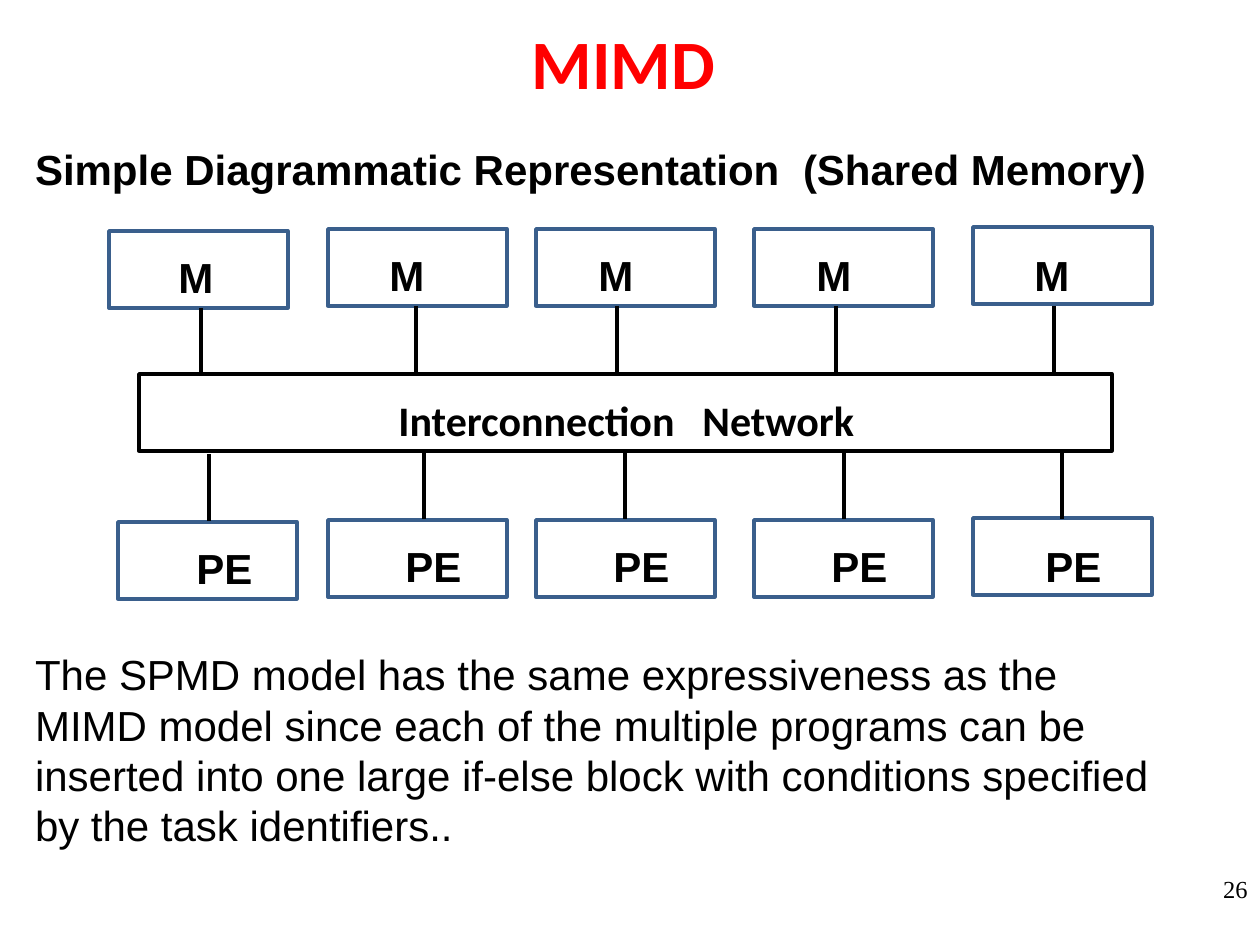
from dataclasses import dataclass

from lxml import etree
from pptx import Presentation
from pptx.dml.color import RGBColor
from pptx.enum.shapes import MSO_CONNECTOR, MSO_SHAPE
from pptx.enum.text import MSO_ANCHOR, PP_ALIGN
from pptx.oxml.ns import qn
from pptx.util import Emu, Pt

RECTANGLE = MSO_SHAPE.RECTANGLE
STRAIGHT = MSO_CONNECTOR.STRAIGHT
MIDDLE = MSO_ANCHOR.MIDDLE
LEFT, CENTER, RIGHT = PP_ALIGN.LEFT, PP_ALIGN.CENTER, PP_ALIGN.RIGHT
PX_PER_INCH = 126


@dataclass(frozen=True)
class Theme:
    black: RGBColor = RGBColor(0x00, 0x00, 0x00)
    red: RGBColor = RGBColor(0xFF, 0x00, 0x00)
    blue: RGBColor = RGBColor(0x3A, 0x5F, 0x8C)
    sans: str = "Arial"
    display: str = "Calibri"
    serif: str = "Times New Roman"
    title_size: float = 39.6
    text_size: float = 24
    number_size: float = 14
    text_leading: float = 28.8
    diagram_gap: float = 260
    outline: float = 2
    wire: float = 2.25


@dataclass(frozen=True)
class Area:
    left: int
    top: int
    width: int
    height: int


@dataclass(frozen=True)
class Column:
    """One memory module, its processing element and their wires, in px."""
    memory: int
    memory_label: int
    wire: int
    element: int
    element_label: int
    shift: int = 0


THEME = Theme()
BOX_WIDTH, BOX_HEIGHT = 179, 77
MEMORY_TOP, ELEMENT_TOP = 229, 520
WIRE_LENGTH, LOWER_WIRE_OFFSET = 67, 8
NETWORK = Area(139, 374, 973, BOX_HEIGHT)
COLUMNS = (
    Column(109, 166, 201, 118, 184, shift=2),
    Column(328, 377, 416, 328, 393),
    Column(536, 586, 617, 536, 601),
    Column(754, 804, 836, 754, 819),
    Column(973, 1022, 1054, 973, 1033, shift=-2),
)
BODY = (
    "The SPMD model has the same expressiveness as the MIMD model since each "
    "of the multiple programs can be inserted into one large if-else block "
    "with conditions specified by the task identifiers.."
)


def px(value: int) -> Emu:
    return Emu(round(value * 914400 / PX_PER_INCH))


def place(shape, area: Area) -> None:
    for side in ("left", "top", "width", "height"):
        setattr(shape, side, px(getattr(area, side)))


def write(para, text: str, align=LEFT, color=THEME.black, **font_format) -> None:
    """Write one formatted span into a paragraph."""
    para.alignment = align
    span = para.add_run()
    span.text = text
    values = {"name": THEME.sans, "size": THEME.text_size, "bold": True, **font_format}
    values["size"] = Pt(values["size"])
    for name, value in values.items():
        setattr(span.font, name, value)
    span.font.color.rgb = color


def add_tab_stop(para, position: int) -> None:
    tabs = etree.SubElement(para._p.get_or_add_pPr(), qn("a:tabLst"))
    etree.SubElement(tabs, qn("a:tab"), pos=str(px(position)), algn="l")


def add_text_box(page, area: Area, wrap: bool = True):
    box = page.shapes.add_textbox(*map(px, (area.left, area.top, area.width, area.height)))
    box.text_frame.word_wrap = wrap
    return box.text_frame


def add_box(page, area: Area, color: RGBColor) -> None:
    box = page.shapes.add_shape(
        RECTANGLE, *map(px, (area.left, area.top, area.width, area.height)))
    box.shadow.inherit = False
    box.fill.background()
    box.line.color.rgb = color
    box.line.width = Pt(THEME.outline)


def add_wire(page, x: int, top: int) -> None:
    wire = page.shapes.add_connector(STRAIGHT, px(x), px(top), px(x), px(top + WIRE_LENGTH))
    wire.line.color.rgb = THEME.black
    wire.line.width = Pt(THEME.wire)
    etree.SubElement(wire._element.spPr, qn("a:effectLst"))


def add_label(page, text: str, area: Area) -> None:
    write(add_text_box(page, area, wrap=False).paragraphs[0], text)


def add_column(page, column: Column) -> None:
    drop = max(column.shift, 0)
    for left, top in ((column.memory, MEMORY_TOP), (column.element, ELEMENT_TOP)):
        add_box(page, Area(left, top + column.shift, BOX_WIDTH, BOX_HEIGHT), THEME.blue)
    add_label(page, "M", Area(column.memory_label, MEMORY_TOP + 14 + drop, 62, 49))
    add_label(page, "PE", Area(column.element_label, ELEMENT_TOP + 14 + drop, 82, 63))
    add_wire(page, column.wire, MEMORY_TOP + BOX_HEIGHT + drop)
    add_wire(page, column.wire + LOWER_WIRE_OFFSET, NETWORK.top + NETWORK.height + 1 + drop)


def add_title(page) -> None:
    title = page.shapes.title
    place(title, Area(88, 26, 1071, 72))
    title.text_frame.vertical_anchor = MIDDLE
    write(title.text_frame.paragraphs[0], "MIMD", CENTER, THEME.red,
          name=THEME.display, size=THEME.title_size)


def add_body(page) -> None:
    frame = add_text_box(page, Area(35, 137, 1130, 726))
    frame.margin_left = frame.margin_right = 0
    heading, summary = frame.paragraphs[0], frame.add_paragraph()
    for para in (heading, summary):
        para.line_spacing = Pt(THEME.text_leading)
    summary.space_before = Pt(THEME.diagram_gap)
    add_tab_stop(heading, 768)
    write(heading, "Simple Diagrammatic Representation\t(Shared Memory)")
    write(summary, BODY, bold=False)


def add_network(page) -> None:
    add_box(page, NETWORK, THEME.black)
    para = add_text_box(page, Area(386, 388, 486, 49)).paragraphs[0]
    add_tab_stop(para, 304)
    write(para, "Interconnection\tNetwork", name=THEME.display)


def add_page_number(page) -> None:
    frame = add_text_box(page, Area(966, 864, 294, 50))
    frame.vertical_anchor = MIDDLE
    write(frame.paragraphs[0], "26", RIGHT, name=THEME.serif,
          size=THEME.number_size, bold=False)


def main() -> None:
    deck = Presentation()
    deck.slide_width, deck.slide_height = px(1260), px(945)
    page = deck.slides.add_slide(deck.slide_layouts.get_by_name("Title Only"))

    # Text
    add_page_number(page)
    add_title(page)
    add_body(page)

    # Shared-memory diagram
    add_network(page)
    for column in COLUMNS:
        add_column(page, column)

    deck.save("out.pptx")


if __name__ == "__main__":
    main()
